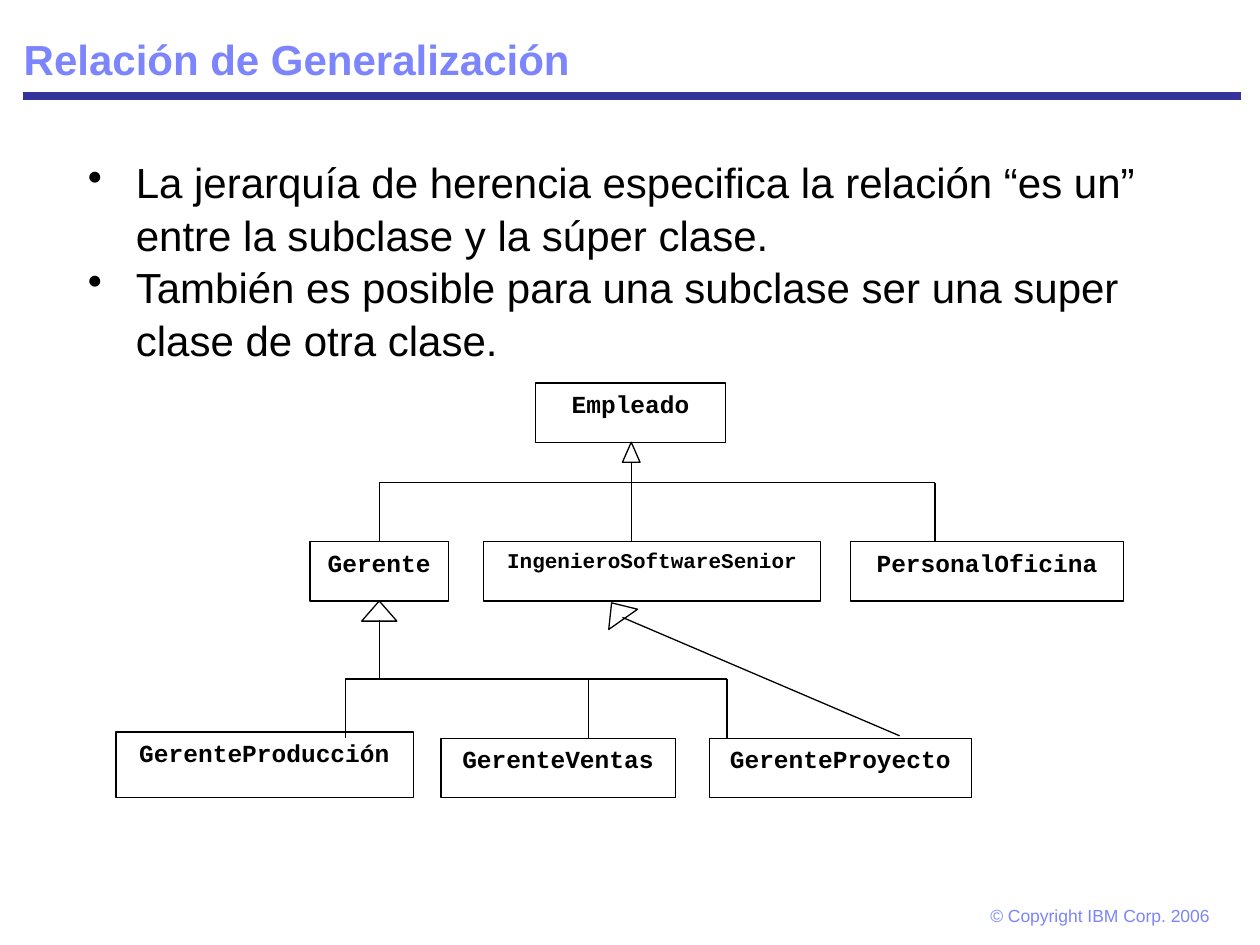
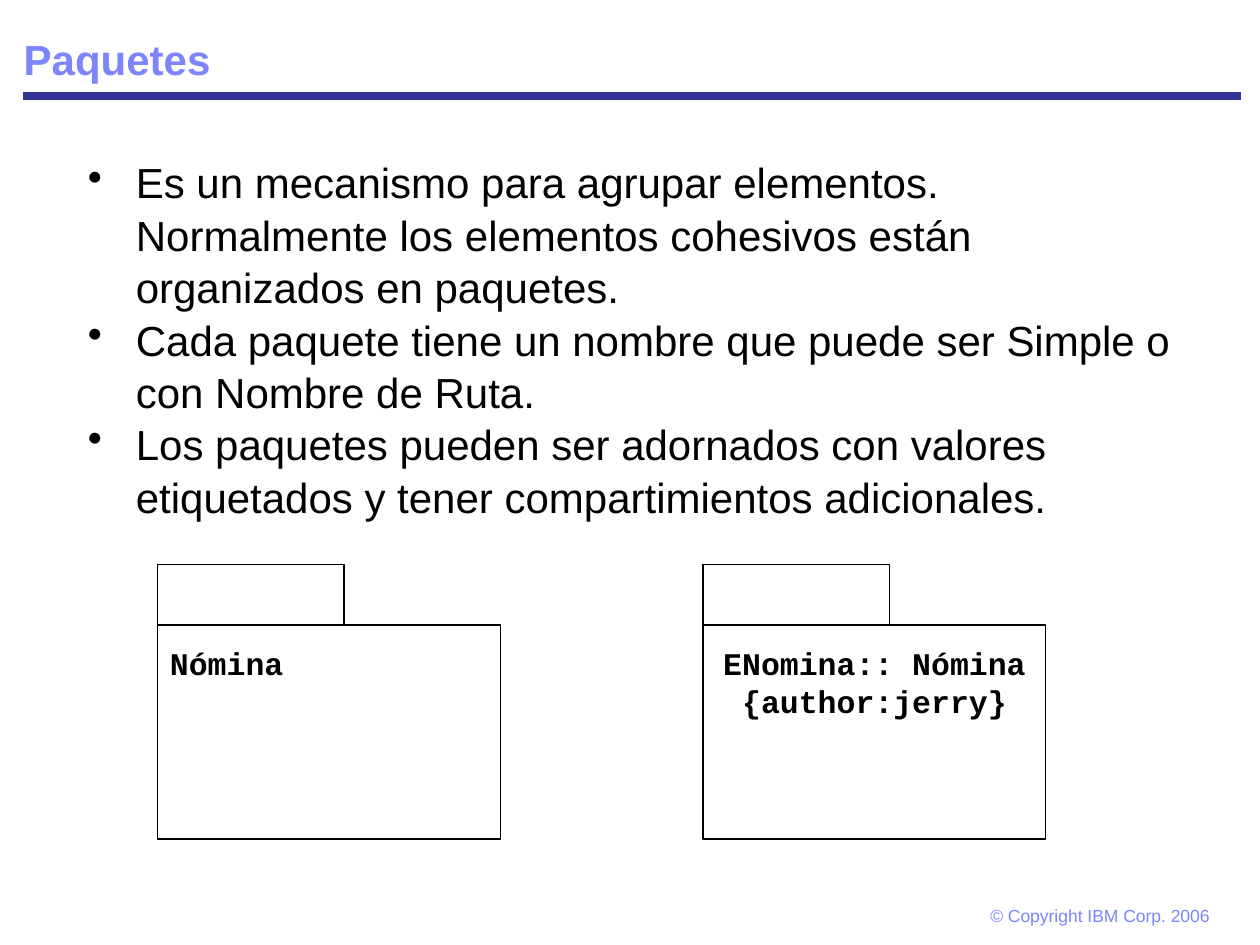
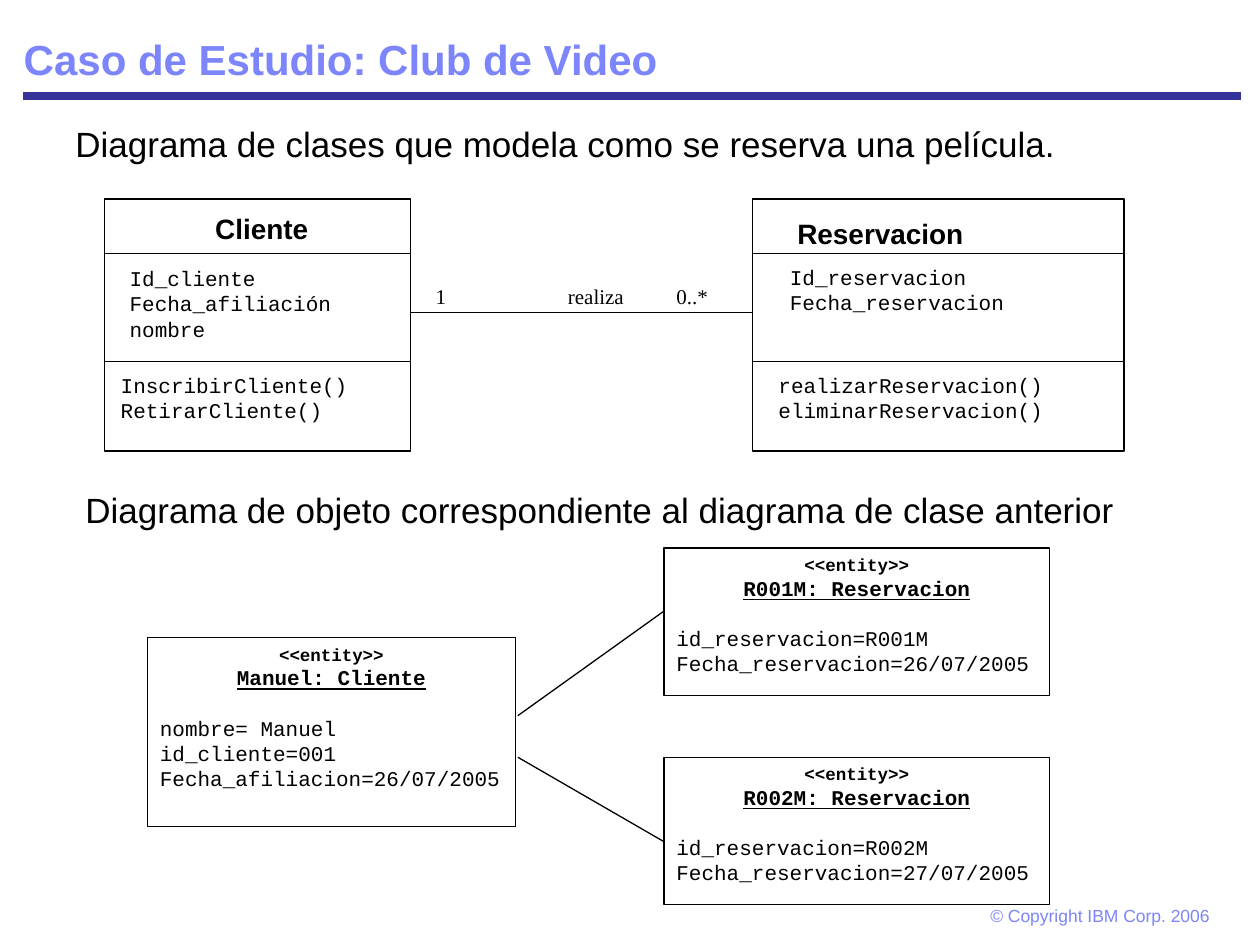
from lxml import etree
from pptx import Presentation
from pptx import util as u
from pptx.dml.color import RGBColor
from pptx.enum import shapes, text
from pptx.oxml.ns import qn

WIDTH, HEIGHT = 10, 7.5
BLACK, WHITE, NAVY, LILAC = "000000", "FFFFFF", "333399", "7C85FC"
SANS, MONO, SERIF = "Arial", "Courier New", "Times New Roman"
LEADING = 1.2
LEFT, CENTER, JUSTIFY = (text.PP_ALIGN.LEFT, text.PP_ALIGN.CENTER,
                         text.PP_ALIGN.JUSTIFY)
RECTANGLE = shapes.MSO_SHAPE.RECTANGLE
TRIANGLE = shapes.MSO_SHAPE.ISOSCELES_TRIANGLE


def color(hex_value):
    return RGBColor.from_string(hex_value)


def inches(*lengths):
    return [u.Inches(length) for length in lengths]


def style(paragraph, size, font=SANS, ink=BLACK, bold=False, underline=False,
          align=LEFT):
    paragraph.alignment = align
    paragraph.line_spacing = u.Pt(size * LEADING)
    paragraph.font.size = u.Pt(size)
    paragraph.font.name = font
    paragraph.font.bold = bold
    paragraph.font.underline = underline
    paragraph.font.color.rgb = color(ink)


def write(shape, lines, size, inset=(0.1, 0.05), **look):
    """Fill a shape with equally styled lines and return its paragraphs."""
    frame = shape.text_frame
    frame.word_wrap = True
    frame.vertical_anchor = text.MSO_ANCHOR.TOP
    frame.margin_left = frame.margin_right = u.Inches(inset[0])
    frame.margin_top = u.Inches(inset[1])
    frame.margin_bottom = u.Inches(0.05)
    frame.text = "\n".join(lines)
    for paragraph in frame.paragraphs:
        style(paragraph, size, **look)
    return frame.paragraphs


def text_box(slide, area, lines, size, **look):
    box = slide.shapes.add_textbox(*inches(*area))
    write(box, lines, size, **look)
    return box


def outline(slide, area, kind=RECTANGLE, fill=None, border=True):
    shape = slide.shapes.add_shape(kind, *inches(*area))
    shape.shadow.inherit = False
    if fill:
        shape.fill.solid()
        shape.fill.fore_color.rgb = color(fill)
    else:
        shape.fill.background()
    if border:
        shape.line.color.rgb = color(BLACK)
        shape.line.width = u.Pt(0.75)
    else:
        shape.line.fill.background()
    return shape


def line(slide, start, end, ink=BLACK, width=0.75):
    connector = slide.shapes.add_connector(
        shapes.MSO_CONNECTOR.STRAIGHT, *inches(*start, *end))
    connector.line.color.rgb = color(ink)
    connector.line.width = u.Pt(width)
    etree.SubElement(connector._element.spPr, qn("a:effectLst"))


def hang(paragraph, indent, bullet=None):
    properties = paragraph._p.get_or_add_pPr()
    properties.set("marL", str(u.Inches(indent)))
    properties.set("indent", str(-u.Inches(indent)))
    if bullet:
        etree.SubElement(properties, qn("a:buChar")).set("char", bullet)


def titled_slide(deck, title):
    slide = deck.slides.add_slide(deck.slide_layouts[6])
    line(slide, (0.18, 0.76), (9.85, 0.76), NAVY, 4.5)
    footer = text_box(slide, (7.71, 7.11, 2.04, 0.32),
                      ["© Copyright IBM Corp. 2006"], 10,
                      ink=LILAC, inset=(0.15, 0.07))
    footer.text_frame.word_wrap = False
    heading = text_box(slide, (0.09, 0.09, 9.8, 0.63), [title], 24,
                       ink=LILAC, bold=True)
    heading.text_frame.vertical_anchor = text.MSO_ANCHOR.BOTTOM
    heading.text_frame.paragraphs[0].line_spacing = 0.9
    return slide


def bullets(slide, points):
    box = slide.shapes.add_textbox(*inches(0.6, 1.18, 8.8, 5.38))
    box.text_frame.word_wrap = True
    box.text_frame.text = "\n".join(points)
    for paragraph in box.text_frame.paragraphs:
        hang(paragraph, 0.38, "•")
        style(paragraph, 24)
        paragraph.line_spacing = 1.04


def branches(slide, bar, bottom, children):
    """Join the tops of the children to one horizontal bar."""
    line(slide, (children[0], bar), (children[-1], bar))
    for child in children:
        line(slide, (child, bar), (child, bottom))


def inheritance_arrow(slide, center, top, width, angle=0):
    head = outline(slide, (center - width / 2, top, width, 0.16), TRIANGLE)
    head.rotation = angle


def caption(slide, left, top, sentence):
    box = text_box(slide, (left, top, 8.83, 0.67), [sentence], 20,
                   align=JUSTIFY)
    hang(box.text_frame.paragraphs[0], 0.25)


def package(slide, left, lines, align):
    tab_top, body_top = 4.48, 4.96
    outline(slide, (left, tab_top, 1.48, body_top - tab_top))
    body = outline(slide, (left, body_top, 2.72, 1.7))
    write(body, lines, 18, font=MONO, bold=True, align=align,
          inset=(0.1, 0.15))


def class_box(slide, left, width, name, attributes, operations):
    """Draw a class; each part is its text area followed by its lines."""
    outline(slide, (left, 1.58, width, 2), fill=WHITE)
    for divider in (2.01, 2.87):
        line(slide, (left, divider), (left + width, divider))
    text_box(slide, name[0], name[1:], 16, bold=True)
    for area, *members in (attributes, operations):
        compartment = outline(slide, area, fill=WHITE, border=False)
        write(compartment, members, 12, font=MONO)


def association(slide, start, end, height, labels):
    """Draw a line between two classes with its labels resting above it."""
    for label, left, width in labels:
        tag = outline(slide, (left, 2.2, width, height - 2.22), fill=WHITE,
                      border=False)
        write(tag, [label], 12, font=SERIF)
    line(slide, (start, height), (end, height))


def object_box(slide, area, name, values):
    box = outline(slide, area, fill=WHITE)
    stereotype, heading, *rows = write(
        box, ["<<entity>>", name, *values], 12, font=MONO, align=JUSTIFY)
    style(stereotype, 10, MONO, bold=True, align=CENTER)
    style(heading, 12, MONO, bold=True, underline=True, align=CENTER)
    rows[0].space_before = u.Pt(12 * LEADING)


def generalization_slide(deck):
    slide = titled_slide(deck, "Relación de Generalización")
    bullets(slide, [
        "La jerarquía de herencia especifica la relación “es un” entre la "
        "subclase y la súper clase.",
        "También es posible para una subclase ser una super clase de otra "
        "clase."])
    staff, specialties, height = 4.3, 5.86, 0.47
    for name, left, top, width, tall, size in (
            ("Empleado", 4.25, 3.04, 1.51, height, 14),
            ("Gerente", 2.46, staff, 1.1, height, 14),
            ("IngenieroSoftwareSenior", 3.84, staff, 2.67, height, 12),
            ("PersonalOficina", 6.75, staff, 2.17, height, 14),
            ("GerenteProducción", 0.92, 5.81, 2.36, 0.52, 14),
            ("GerenteVentas", 3.5, specialties, 1.86, height, 14),
            ("GerenteProyecto", 5.63, specialties, 2.08, height, 14)):
        box = outline(slide, (left, top, width, tall))
        write(box, [name], size, font=MONO, bold=True, align=CENTER)
    branches(slide, 3.83, staff, (3.01, 5.01, 7.42))
    line(slide, (5.01, 3.67), (5.01, 3.83))
    inheritance_arrow(slide, 5.01, 3.51, 0.14)
    branches(slide, 5.39, specialties, (2.74, 4.67, 5.77))
    line(slide, (3.01, 4.92), (3.01, 5.39))
    inheritance_arrow(slide, 3.01, staff + height, 0.28)
    line(slide, (4.94, 4.9), (7.14, 5.84))
    inheritance_arrow(slide, 4.9, staff + height, 0.28, 325)


def packages_slide(deck):
    slide = titled_slide(deck, "Paquetes")
    bullets(slide, [
        "Es un mecanismo para agrupar elementos. Normalmente los elementos "
        "cohesivos están organizados en paquetes.",
        "Cada paquete tiene un nombre que puede ser Simple o con Nombre de "
        "Ruta.",
        "Los paquetes pueden ser adornados con valores etiquetados y tener "
        "compartimientos adicionales."])
    package(slide, 1.25, ["Nómina"], LEFT)
    package(slide, 5.58, ["ENomina:: Nómina", "{author:jerry}"], CENTER)


def case_study_slide(deck):
    slide = titled_slide(deck, "Caso de Estudio: Club de Video")
    caption(slide, 0.5, 0.92,
            "Diagrama de clases que modela como se reserva una película.")
    class_box(slide, 5.97, 2.95,
              ((6.23, 1.67, 1.56, 0.24), "Reservacion"),
              ((6.17, 2.05, 2.25, 0.71),
               "Id_reservacion", "Fecha_reservacion"),
              ((6.08, 2.91, 2.8, 0.57),
               "realizarReservacion()", "eliminarReservacion()"))
    class_box(slide, 0.83, 2.43,
              ((1.61, 1.63, 1.11, 0.24), "Cliente"),
              ((0.93, 2.06, 2.25, 0.71),
               "Id_cliente", "Fecha_afiliación", "nombre"),
              ((0.86, 2.91, 2.37, 0.57),
               "InscribirCliente()", "RetirarCliente()"))
    association(slide, 3.26, 5.97, 2.48,
                (("1", 3.36, 0.35), ("realiza", 4.41, 0.86),
                 ("0..*", 5.27, 0.67)))

    caption(slide, 0.58, 3.83,
            "Diagrama de objeto correspondiente al diagrama de clase anterior")
    object_box(slide, (1.17, 5.06, 2.92, 1.5), "Manuel: Cliente",
               ["nombre= Manuel", "id_cliente=001",
                "Fecha_afiliacion=26/07/2005"])
    for code, day, top, link_start, link_end in (
            ("R001M", 26, 4.35, 5.68, 4.85), ("R002M", 27, 6.01, 6.01, 6.68)):
        object_box(slide, (5.27, top, 3.06, 1.17), f"{code}: Reservacion",
                   [f"id_reservacion={code}",
                    f"Fecha_reservacion={day}/07/2005"])
        line(slide, (4.11, link_start), (5.27, link_end))


def main():
    deck = Presentation()
    deck.slide_width, deck.slide_height = inches(WIDTH, HEIGHT)
    generalization_slide(deck)
    packages_slide(deck)
    case_study_slide(deck)
    deck.save("out.pptx")


if __name__ == "__main__":
    main()
